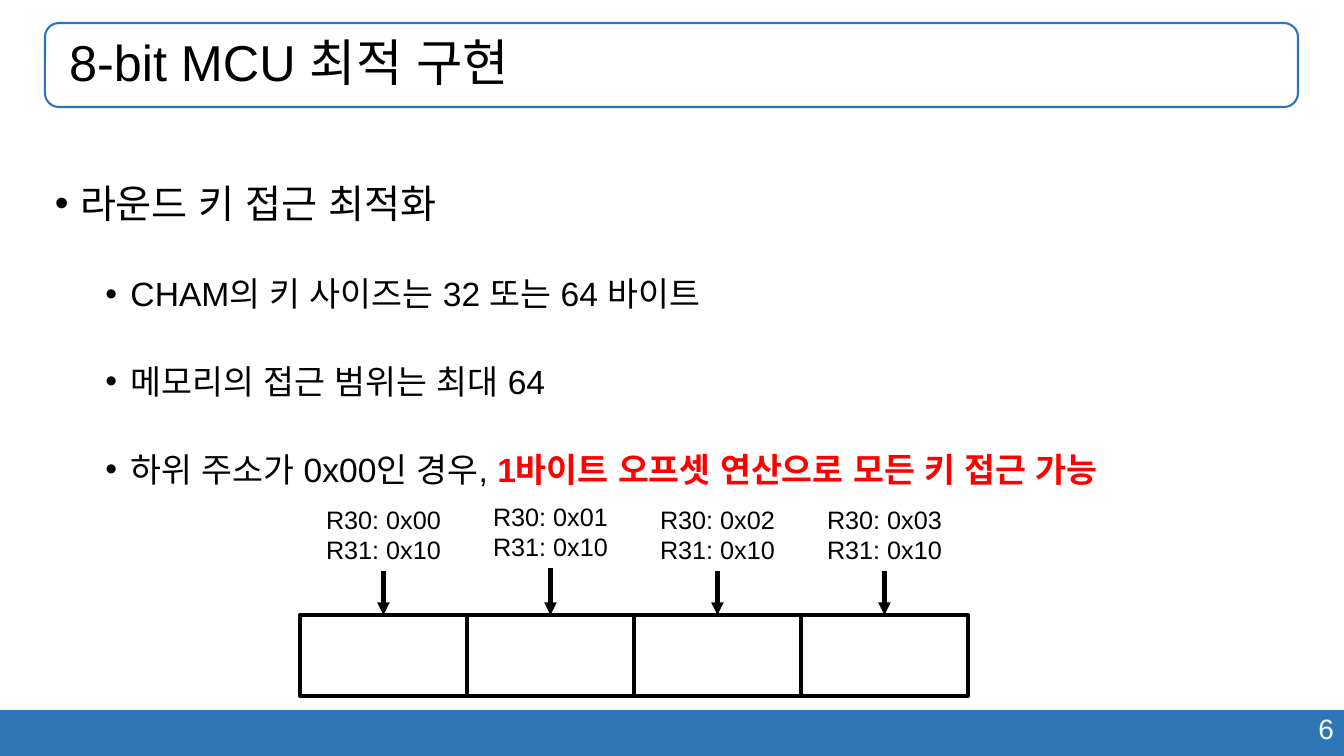
from lxml import etree
from pptx import Presentation, util as u
from pptx.dml.color import RGBColor
from pptx.enum import shapes, text
from pptx.oxml.ns import qn

COLORS = {"blue": "2E75B6", "black": "000000", "red": "FF0000", "white": "FFFFFF"}
EMU_PER_PX = 12192000 / 1344


def px(n):
    return u.Emu(round(n * EMU_PER_PX))


def rgb(name):
    return RGBColor.from_string(COLORS[name])


class SlideBuilder:
    font = "Arial"

    def __init__(self, prs):
        self.s = prs.slides.add_slide(prs.slide_layouts[5])

    def place(self, sp, box):
        for name, value in zip(("left", "top", "width", "height"), box):
            setattr(sp, name, px(value))

    def frame(self, sp, **options):
        tf = sp.text_frame
        options = {"word_wrap": True, "auto_size": text.MSO_AUTO_SIZE.NONE, **options}
        for name, value in options.items():
            setattr(tf, name, value)
        return tf

    def run(self, p, words, size, color="black", bold=False):
        r = p.add_run()
        r.text = words
        style = {"name": self.font, "size": u.Pt(size), "bold": bold}
        for name, value in style.items():
            setattr(r.font, name, value)
        r.font.color.rgb = rgb(color)
        etree.SubElement(r._r.get_or_add_rPr(), qn("a:ea"), typeface=self.font)

    def shape(self, kind, box, fill=None, line=None, weight=1):
        sp = self.s.shapes.add_shape(kind, *map(px, box))
        sp.shadow.inherit = False
        if fill:
            sp.fill.solid()
            sp.fill.fore_color.rgb = rgb(fill)
        else:
            sp.fill.background()
        if line:
            sp.line.color.rgb = rgb(line)
            sp.line.width = u.Pt(weight)
        else:
            sp.line.fill.background()

    def title(self, words, box, size):
        sp = self.s.shapes.title
        self.place(sp, box)
        tf = self.frame(sp, vertical_anchor=text.MSO_ANCHOR.MIDDLE, margin_left=px(24))
        p = tf.paragraphs[0]
        p.alignment = text.PP_ALIGN.LEFT
        p.line_spacing = 0.9
        self.run(p, words, size)

    def label(self, lines, box, size, align, color="black"):
        tf = self.frame(self.s.shapes.add_textbox(*map(px, box)))
        for i, words in enumerate(lines):
            p = tf.add_paragraph() if i else tf.paragraphs[0]
            p.alignment = align
            self.run(p, words, size, color)

    def bullets(self, items, box):
        """Each item is (level, runs); a run is (words, color, bold)."""
        tf = self.frame(self.s.shapes.add_textbox(*map(px, box)))
        for i, (level, runs) in enumerate(items):
            p = tf.add_paragraph() if i else tf.paragraphs[0]
            p.level = level
            pPr = p._p.get_or_add_pPr()
            pPr.set("marL", str(u.Inches(0.25 + 0.5 * level)))
            pPr.set("indent", str(u.Inches(-0.25)))
            etree.SubElement(pPr, qn("a:buFont"), typeface=self.font)
            etree.SubElement(pPr, qn("a:buChar"), char="•")
            p.line_spacing = 2.0
            if i:
                p.space_before = u.Pt(5)
            for words, color, bold in runs:
                self.run(p, words, 24 if level else 28, color, bold)

    def arrow_down(self, x, top, bottom):
        c = self.s.shapes.add_connector(
            shapes.MSO_CONNECTOR.STRAIGHT, px(x), px(top), px(x), px(bottom))
        c.line.color.rgb = rgb("black")
        c.line.width = u.Pt(3)
        etree.SubElement(c.line._get_or_add_ln(), qn("a:tailEnd"), type="triangle")
        etree.SubElement(c._element.spPr, qn("a:effectLst"))


def main():
    prs = Presentation()
    prs.slide_width, prs.slide_height = px(1344), px(756)
    slide = SlideBuilder(prs)
    rect, rounded = shapes.MSO_SHAPE.RECTANGLE, shapes.MSO_SHAPE.ROUNDED_RECTANGLE

    slide.shape(rect, (0, 710, 1344, 46), fill="blue")
    slide.label(["6"], (951, 707, 393, 44), 20, text.PP_ALIGN.RIGHT, "white")

    title_box = (45, 23, 1253, 84)
    slide.shape(rounded, title_box, line="blue", weight=1.5)
    slide.title("8-bit MCU 최적 구현", title_box, 36)

    slide.bullets([
        (0, [("라운드 키 접근 최적화", "black", False)]),
        (1, [("CHAM의 키 사이즈는 32 또는 64 바이트", "black", False)]),
        (1, [("메모리의 접근 범위는 최대 64", "black", False)]),
        (1, [("하위 주소가 0x00인 경우, ", "black", False),
             ("1바이트 오프셋 연산으로 모든 키 접근 가능", "red", True)]),
    ], (45, 127, 1253, 557))

    cell_left, cell_top, cell_width, cell_height = 300, 615, 167, 81
    label_width = 175
    for i, lift in enumerate((0, 3, 0, 0)):
        left = cell_left + i * cell_width
        center = left + cell_width / 2
        slide.shape(rect, (left, cell_top, cell_width, cell_height), line="black", weight=3)
        slide.arrow_down(center, 571 - lift, cell_top)
        slide.label([f"R30: 0x{i:02}", "R31: 0x10"],
                    (center - label_width / 2, 499 - lift, label_width, 72),
                    18, text.PP_ALIGN.CENTER)

    prs.save("out.pptx")


if __name__ == "__main__":
    main()
